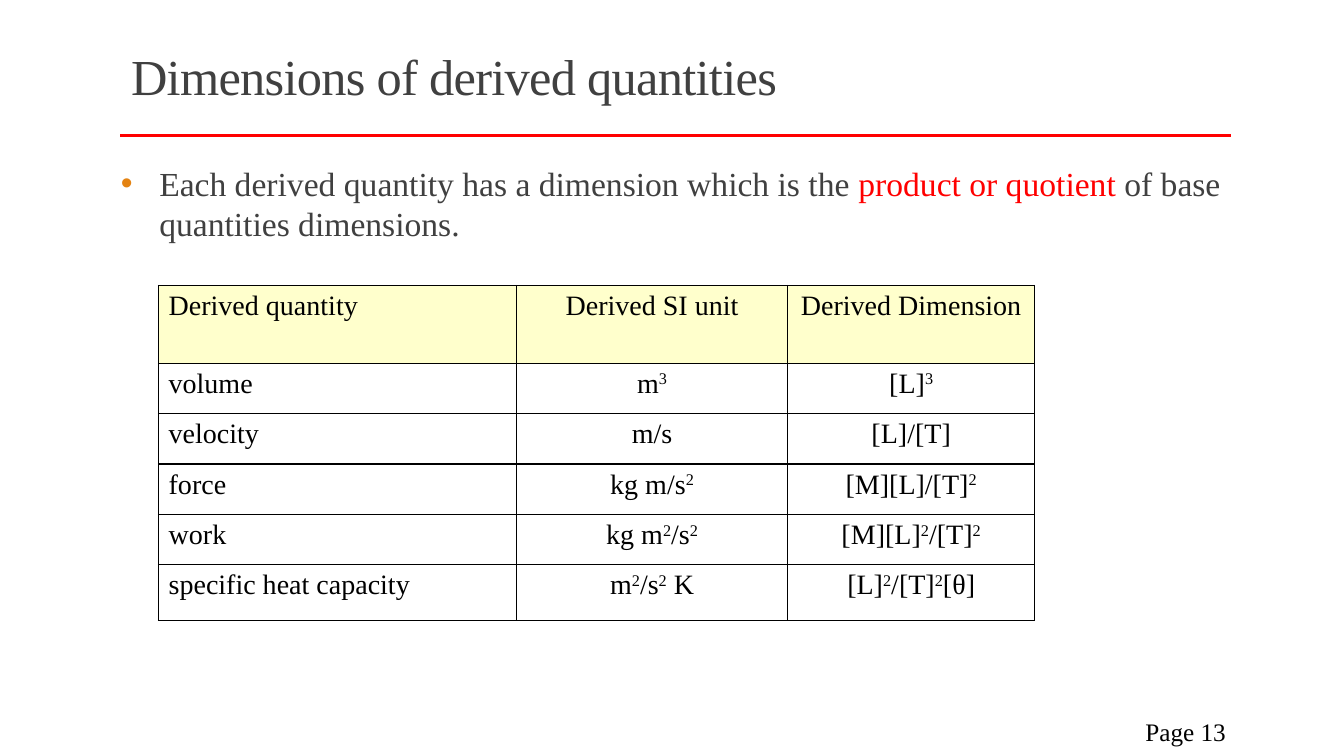
from pptx import Presentation
from pptx.dml.color import RGBColor
from pptx.enum.shapes import MSO_CONNECTOR
from pptx.enum.text import MSO_ANCHOR, MSO_AUTO_SIZE, PP_ALIGN
from pptx.oxml.ns import qn
from pptx.util import Inches, Pt
from lxml import etree

LEFT, CENTER, RIGHT = PP_ALIGN.LEFT, PP_ALIGN.CENTER, PP_ALIGN.RIGHT
TOP, MIDDLE = MSO_ANCHOR.TOP, MSO_ANCHOR.MIDDLE
NO_AUTOFIT = MSO_AUTO_SIZE.NONE
STRAIGHT = MSO_CONNECTOR.STRAIGHT

COLORS = {
    "text": "404040",
    "accent": "FF0000",
    "bullet": "E48312",
    "table_text": "000000",
    "header": "FFFFCC",
    "cell": "FFFFFF",
}
FONT = "Times New Roman"

# A caret marks the next character as an exponent
DIMENSIONS = [
    ("Derived quantity", "Derived SI unit", "Derived Dimension"),
    ("volume", "m^3", "[L]^3"),
    ("velocity", "m/s", "[L]/[T]"),
    ("force", "kg m/s^2", "[M][L]/[T]^2"),
    ("work", "kg m^2/s^2", "[M][L]^2/[T]^2"),
    ("specific heat capacity", "m^2/s^2 K", "[L]^2/[T]^2[θ]"),
]


class SlideBuilder:
    """Draws styled elements; all lengths are percentages of the slide."""

    def __init__(self, presentation):
        self.width = presentation.slide_width
        self.height = presentation.slide_height
        self.slide = presentation.slides.add_slide(presentation.slide_layouts[1])

    def across(self, percent):
        return round(self.width * percent / 100)

    def down(self, percent):
        return round(self.height * percent / 100)

    def box(self, left, top, width, height):
        return self.across(left), self.down(top), self.across(width), self.down(height)

    def place(self, shape, area, anchor):
        shape.left, shape.top, shape.width, shape.height = self.box(*area)
        frame = shape.text_frame
        frame.word_wrap = True
        frame.auto_size = NO_AUTOFIT
        frame.vertical_anchor = anchor
        return frame

    def add_run(self, paragraph, text, size, color):
        run = paragraph.add_run()
        run.text = text
        run.font.name = FONT
        run.font.size = Pt(size)
        run.font.color.rgb = RGBColor.from_string(COLORS[color])
        return run

    def title(self, text, area):
        paragraph = self.place(self.slide.shapes.title, area, MIDDLE).paragraphs[0]
        paragraph.alignment = LEFT
        paragraph.line_spacing = 0.85
        run = self.add_run(paragraph, text, 36, "text")
        run.font._element.set("spc", "-50")

    def bullet(self, pieces, area):
        frame = self.place(self.slide.placeholders[1], area, TOP)
        frame.margin_left = frame.margin_right = 0
        paragraph = frame.paragraphs[0]
        properties = paragraph._p.get_or_add_pPr()
        properties.set("marL", str(Inches(0.38)))
        properties.set("indent", str(-Inches(0.38)))
        color = etree.SubElement(properties, qn("a:buClr"))
        etree.SubElement(color, qn("a:srgbClr"), val=COLORS["bullet"])
        etree.SubElement(properties, qn("a:buFont"), typeface="Arial")
        etree.SubElement(properties, qn("a:buChar"), char="•")
        paragraph.space_before = Pt(0)
        paragraph.space_after = Pt(6)
        for text, color_name in pieces:
            self.add_run(paragraph, text, 24, color_name)

    def label(self, text, area):
        shape = self.slide.shapes.add_textbox(*self.box(*area))
        paragraph = self.place(shape, area, MIDDLE).paragraphs[0]
        paragraph.alignment = RIGHT
        self.add_run(paragraph, text, 18, "table_text")

    def rule(self, left, right, top):
        line = self.slide.shapes.add_connector(
            STRAIGHT, self.across(left), self.down(top), self.across(right), self.down(top))
        line.line.color.rgb = RGBColor.from_string(COLORS["accent"])
        line.line.width = Pt(2)
        etree.SubElement(line._element.spPr, qn("a:effectLst"))

    def table(self, rows, left, top, column_widths, row_heights):
        area = self.box(left, top, sum(column_widths), sum(row_heights))
        table = self.slide.shapes.add_table(len(rows), len(column_widths), *area).table
        table.first_row = table.horz_banding = False
        for column, width in zip(table.columns, column_widths):
            column.width = self.across(width)
        for row, height in zip(table.rows, row_heights):
            row.height = self.down(height)
        for row_index, row in enumerate(rows):
            for column_index, text in enumerate(row):
                self.cell(table.cell(row_index, column_index), text,
                          "cell" if row_index else "header",
                          CENTER if column_index else LEFT)

    def cell(self, cell, text, fill, alignment):
        # Borders go in ahead of the fill
        properties = cell._tc.get_or_add_tcPr()
        for side in ("a:lnL", "a:lnR", "a:lnT", "a:lnB"):
            border = etree.SubElement(properties, qn(side), w=str(Pt(1)))
            solid = etree.SubElement(border, qn("a:solidFill"))
            etree.SubElement(solid, qn("a:srgbClr"), val=COLORS["table_text"])
        cell.fill.solid()
        cell.fill.fore_color.rgb = RGBColor.from_string(COLORS[fill])
        paragraph = cell.text_frame.paragraphs[0]
        paragraph.alignment = alignment
        base, *powers = text.split("^")
        self.add_run(paragraph, base, 20, "table_text")
        for power in powers:
            exponent = self.add_run(paragraph, power[0], 20, "table_text")
            exponent.font._element.set("baseline", "30000")
            if power[1:]:
                self.add_run(paragraph, power[1:], 20, "table_text")


def main():
    presentation = Presentation()
    presentation.slide_width = Inches(13.33)
    presentation.slide_height = Inches(7.5)
    builder = SlideBuilder(presentation)

    # Heading
    builder.rule(8.95, 91.6, 17.9)
    builder.title("Dimensions of derived quantities", (9, 4.1, 82.5, 13.1))

    # Statement
    builder.bullet([
        ("Each derived quantity has a dimension which is the ", "text"),
        ("product or quotient ", "accent"),
        ("of base quantities dimensions.", "text"),
    ], (9, 20.9, 82.7, 68.3))

    # Derived quantities
    builder.table(DIMENSIONS, 11.8, 37.75, [26.63, 20.18, 18.38],
                  [10.3] + [6.67] * 4 + [7.35])

    # Page number
    builder.label("Page 13", (81.25, 94.1, 10.7, 5.3))

    presentation.save("out.pptx")


if __name__ == "__main__":
    main()
